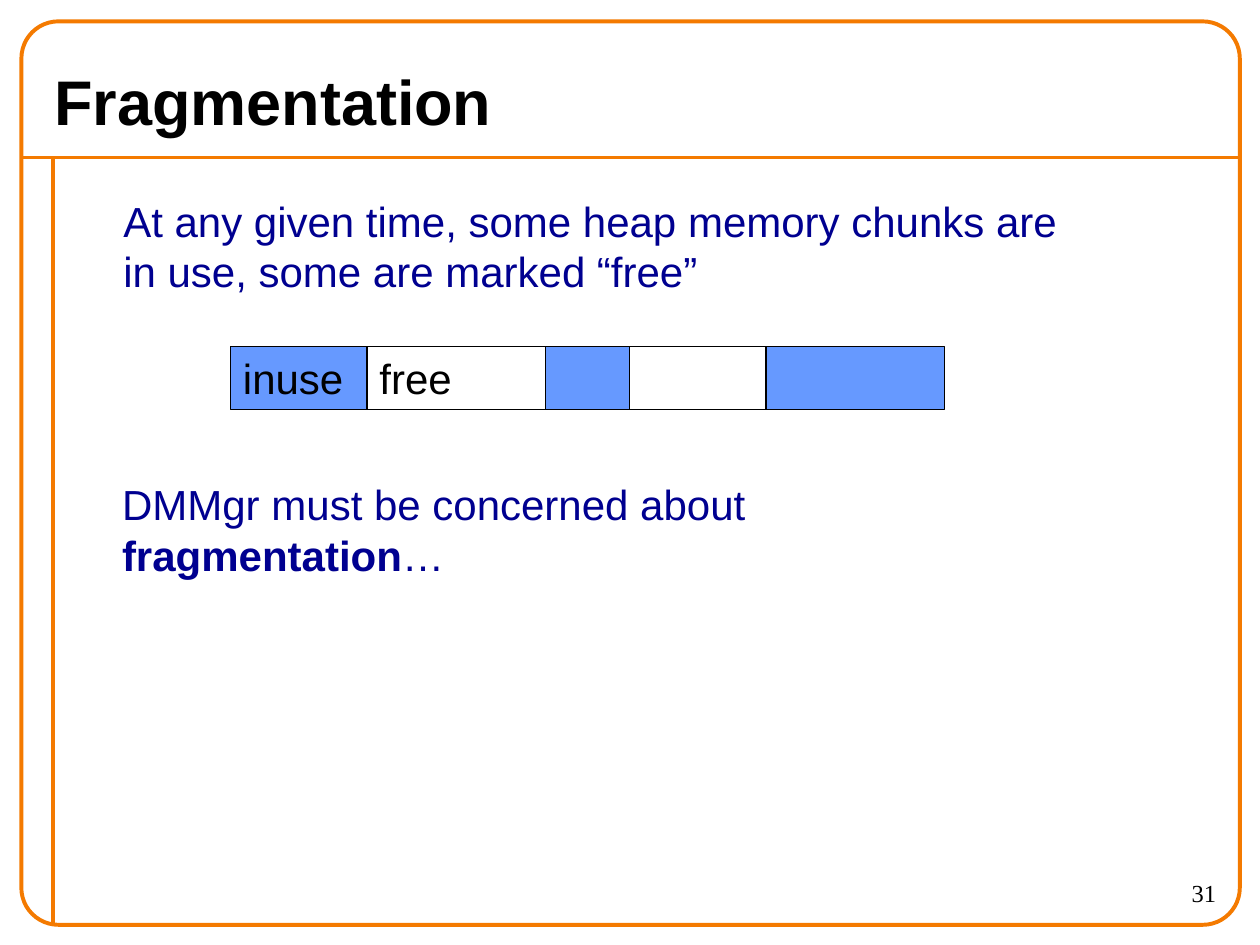
from pptx import Presentation
from pptx.dml.color import RGBColor
from pptx.enum.shapes import MSO_CONNECTOR, MSO_SHAPE
from pptx.enum.text import MSO_ANCHOR, PP_ALIGN
from pptx.oxml.ns import qn
from pptx.util import Inches, Pt
from lxml import etree

STRAIGHT = MSO_CONNECTOR.STRAIGHT
RECT, ROUND = MSO_SHAPE.RECTANGLE, MSO_SHAPE.ROUNDED_RECTANGLE
TOP, MIDDLE = MSO_ANCHOR.TOP, MSO_ANCHOR.MIDDLE
LEFT, RIGHT = PP_ALIGN.LEFT, PP_ALIGN.RIGHT

COLORS = {"frame": "F47A00", "used": "6699FF", "ink": "000000", "text": "000090"}
STYLES = {
    "title": {"name": "Arial", "size": Pt(36), "bold": True},
    "text": {"name": "Arial", "size": Pt(24), "bold": False},
    "number": {"name": "Times New Roman", "size": Pt(14), "bold": False},
}

TITLE = "Fragmentation"
NUMBER = "31"
INTRO = [
    [("At any given time, some heap memory chunks are", False)],
    [("in use, some are marked “free”", False)],
]
CONCERN = [[("DMMgr must be concerned about ", False), ("fragmentation", True), ("…", False)]]
CHUNKS = [
    ("inuse", 13, True),
    ("free", 17, False),
    ("", 8, True),
    ("", 13, False),
    ("", 17, True),
]
CHUNK_UNIT = 1 / 12
HEAP_LEFT, HEAP_TOP, CHUNK_HEIGHT = 1.83, 2.75, 0.5
RULES = [(0.17, 1.25, 9.83, 1.25), (0.42, 1.25, 0.42, 7.33)]


def rgb(name):
    return RGBColor.from_string(COLORS[name])


def set_line(sp, color, width):
    sp.line.color.rgb = rgb(color)
    sp.line.width = Pt(width)


def write(sp, paragraphs, style, color="ink", align=LEFT, anchor=TOP, wrap=True):
    tf = sp.text_frame
    margins = {"margin_left": 0.1, "margin_right": 0.1, "margin_top": 0.05, "margin_bottom": 0.05}
    for key, value in margins.items():
        setattr(tf, key, Inches(value))
    tf.word_wrap, tf.vertical_anchor = wrap, anchor
    for i, runs in enumerate(paragraphs):
        p = tf.paragraphs[0] if i == 0 else tf.add_paragraph()
        p.alignment = align
        for text, bold in runs:
            r = p.add_run()
            r.text = text
            for key, value in STYLES[style].items():
                setattr(r.font, key, value)
            r.font.bold = bold
            r.font.color.rgb = rgb(color)


def add_box(s, shape, box):
    sp = s.shapes.add_shape(shape, *map(Inches, box))
    sp.shadow.inherit = False
    sp.fill.background()
    return sp


def add_text(s, box, *args, **options):
    write(s.shapes.add_textbox(*map(Inches, box)), *args, **options)


def add_frame(s):
    for ends in RULES:
        rule = s.shapes.add_connector(STRAIGHT, *map(Inches, ends))
        set_line(rule, "frame", 2.25)
        etree.SubElement(rule._element.spPr, qn("a:effectLst"))
    frame = add_box(s, ROUND, (0.17, 0.17, 9.67, 7.17))
    frame.adjustments[0] = 0.041
    set_line(frame, "frame", 2.25)


def add_heap(s):
    x = HEAP_LEFT
    for label, units, used in CHUNKS:
        width = units * CHUNK_UNIT
        sp = add_box(s, RECT, (x, HEAP_TOP, width, CHUNK_HEIGHT))
        if used:
            sp.fill.solid()
            sp.fill.fore_color.rgb = rgb("used")
        set_line(sp, "ink", 0.75)
        if label:
            write(sp, [[(label, False)]], "text")
        x += width


def main():
    prs = Presentation()
    prs.slide_width, prs.slide_height = Inches(10), Inches(7.5)
    s = prs.slides.add_slide(prs.slide_layouts[5])
    add_frame(s)
    title = s.shapes.title
    title.left, title.top, title.width, title.height = map(Inches, (0.33, 0.42, 9.33, 0.75))
    write(title, [[(TITLE, True)]], "title", anchor=MIDDLE)
    add_text(s, (8.75, 6.92, 1, 0.42), [[(NUMBER, False)]], "number", align=RIGHT)
    add_text(s, (0.87, 3.75, 7.79, 0.5), CONCERN, "text", "text", wrap=False)
    add_heap(s)
    add_text(s, (0.88, 1.5, 7.61, 0.9), INTRO, "text", "text", wrap=False)
    prs.save("out.pptx")


if __name__ == "__main__":
    main()
